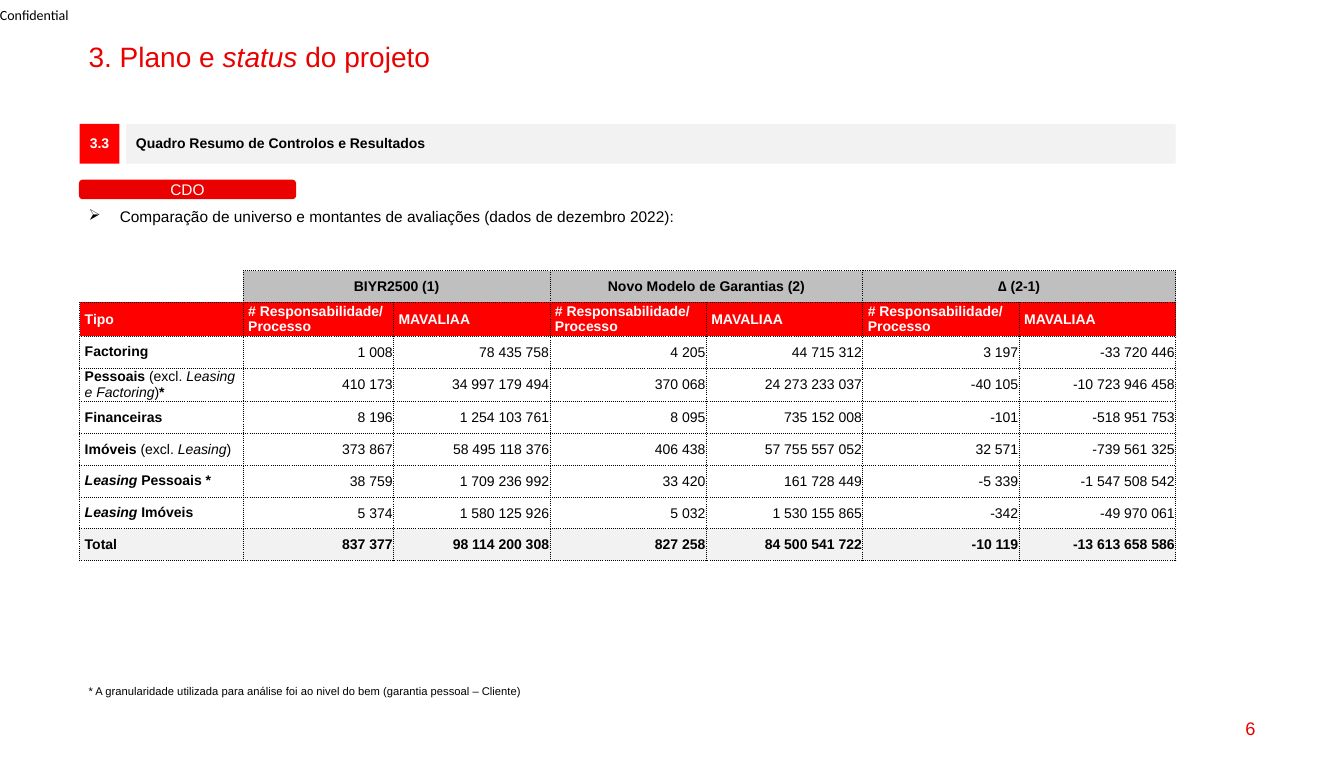
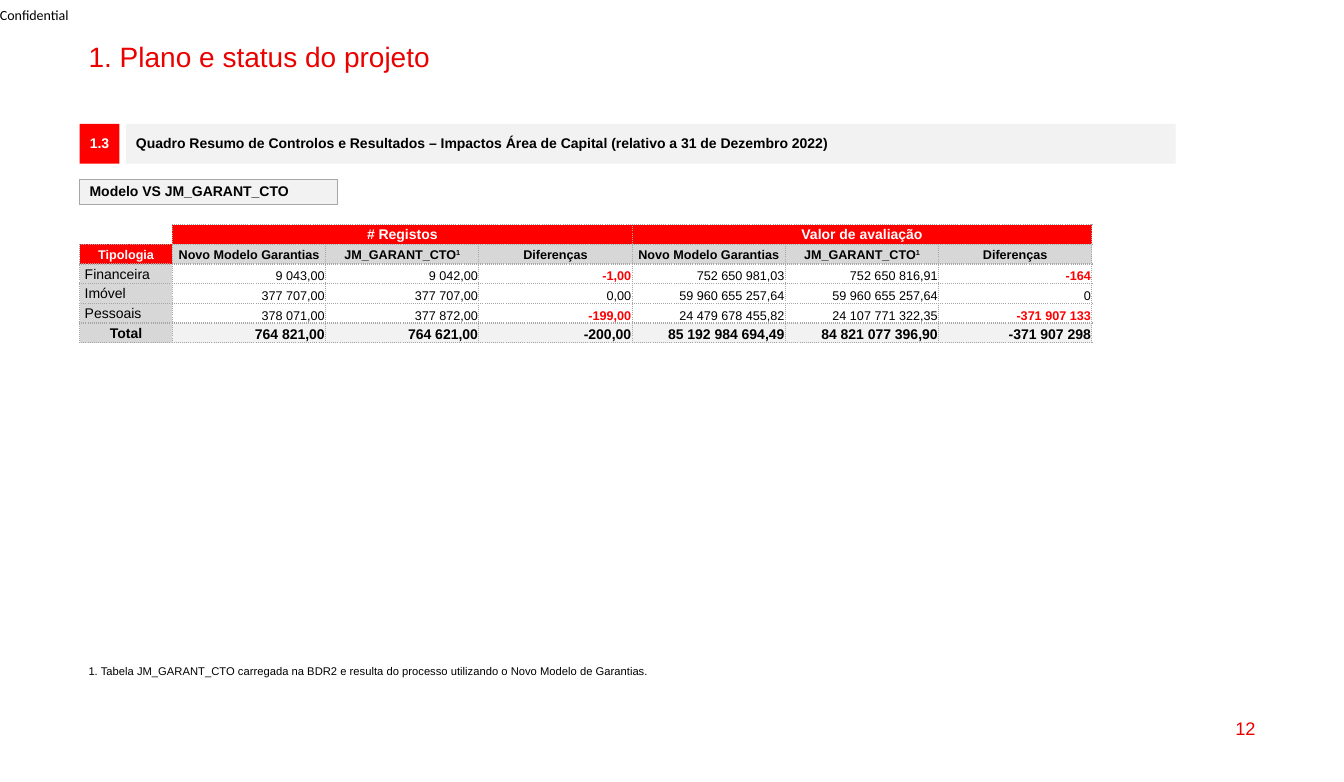
from dataclasses import dataclass, replace
from typing import NamedTuple, Optional, Union

import lxml.etree
import pptx
import pptx.dml.color
import pptx.enum.shapes
import pptx.enum.text
import pptx.oxml.ns
import pptx.shapes.base
import pptx.slide
import pptx.table
import pptx.text.text
import pptx.util

WIDTH, HEIGHT = 13.33, 7.76
COLORS = {
    "red": "FF0000",
    "brand": "EB0000",
    "black": "000000",
    "white": "FFFFFF",
    "pale": "F2F2F2",
    "silver": "D7D7D7",
    "grey": "BFBFBF",
    "edge": "A6A6A6",
}
ALIGN = pptx.enum.text.PP_ALIGN
ANCHOR = pptx.enum.text.MSO_ANCHOR
SHAPE = pptx.enum.shapes.MSO_SHAPE
qn = pptx.oxml.ns.qn


class Box(NamedTuple):
    """Shares of the slide, in percent."""
    left: float
    top: float
    width: float
    height: float

    def lengths(self) -> list[int]:
        sides = (WIDTH, HEIGHT, WIDTH, HEIGHT)
        return [pptx.util.Inches(side * share / 100) for side, share in zip(sides, self)]


class Run(NamedTuple):
    text: str
    bold: Optional[bool] = None
    italic: bool = False
    superscript: bool = False


Content = Union[str, tuple[Run, ...]]


@dataclass(frozen=True)
class Style:
    size: float = 10
    color: str = "black"
    bold: bool = False
    font: str = "Arial"
    align: ALIGN = ALIGN.LEFT
    anchor: ANCHOR = ANCHOR.MIDDLE
    margins: tuple[float, float, float, float] = (0.1, 0.05, 0.1, 0.05)
    spacing: Optional[float] = None


class Cell(NamedTuple):
    content: Content
    style: Style
    fill: Optional[str] = None
    span: int = 1


class Border(NamedTuple):
    color: str
    width: float


class Grid(NamedTuple):
    box: Box
    columns: list[float]
    border: Border
    rows: list[list[Cell]]


CONFIDENTIAL = Style(font="Calibri", margins=(0, 0, 0, 0))
TITLE = Style(20, "brand", anchor=ANCHOR.TOP, spacing=0.9)
PAGE_NUMBER = Style(13, "brand", align=ALIGN.RIGHT)
HEADING = Style(bold=True, spacing=0.9)
BADGE = replace(HEADING, color="white", align=ALIGN.CENTER)
PILL = Style(11, "white", align=ALIGN.CENTER)
BULLET = Style(11, anchor=ANCHOR.TOP)
NOTE = Style(8)

LABEL = Style(bold=True, margins=(0.05, 0, 0.05, 0))
LABEL_CENTER = replace(LABEL, align=ALIGN.CENTER)
LABEL_WHITE = replace(LABEL, color="white")
NUMBER = Style(align=ALIGN.RIGHT, margins=(0.01, 0.01, 0.01, 0))
NUMBER_TOTAL = replace(NUMBER, bold=True)
GROUP = replace(NUMBER_TOTAL, color="white", align=ALIGN.CENTER)
COLUMN = replace(GROUP, size=9, color="black")
CATEGORY = replace(LABEL, bold=False, margins=(0.05, 0.01, 0.01, 0))
AMOUNT = replace(NUMBER, size=9, anchor=ANCHOR.BOTTOM)
AMOUNT_ALERT = replace(AMOUNT, color="red", bold=True)
AMOUNT_TOTAL = replace(NUMBER_TOTAL, anchor=ANCHOR.BOTTOM)


def rgb(name: str) -> pptx.dml.color.RGBColor:
    return pptx.dml.color.RGBColor.from_string(COLORS[name])


def write(frame: pptx.text.text.TextFrame, content: Content, style: Style) -> None:
    runs = (Run(content),) if isinstance(content, str) else content
    frame.text = runs[0].text
    first = frame.paragraphs[0]
    for run in runs[1:]:
        first.add_run().text = run.text
    for paragraph in frame.paragraphs:
        paragraph.alignment = style.align
        if style.spacing:
            paragraph.line_spacing = style.spacing
        for run in paragraph.runs:
            run.font.name = style.font
            run.font.size = pptx.util.Pt(style.size)
            run.font.bold = style.bold
            run.font.color.rgb = rgb(style.color)
    for drawn, run in zip(first.runs, runs):
        drawn.font.italic = run.italic
        if run.bold is not None:
            drawn.font.bold = run.bold
        if run.superscript:
            drawn._r.get_or_add_rPr().set("baseline", "30000")
    if not runs[0].text:
        lxml.etree.SubElement(first._p, qn("a:endParaRPr"), sz=str(int(style.size * 100)))


def place_text(frame: pptx.text.text.TextFrame, content: Content, style: Style,
               wrap: bool = True) -> None:
    frame.word_wrap = wrap
    frame.vertical_anchor = style.anchor
    left, top, right, bottom = (pptx.util.Inches(margin) for margin in style.margins)
    frame.margin_left, frame.margin_top = left, top
    frame.margin_right, frame.margin_bottom = right, bottom
    write(frame, content, style)


def add_text(slide: pptx.slide.Slide, box: Box, content: Content, style: Style,
             wrap: bool = True) -> pptx.text.text.TextFrame:
    frame = slide.shapes.add_textbox(*box.lengths()).text_frame
    place_text(frame, content, style, wrap)
    return frame


def add_bullet(slide: pptx.slide.Slide, box: Box, content: str) -> None:
    frame = add_text(slide, box, content, BULLET)
    properties = frame.paragraphs[0]._p.get_or_add_pPr()
    indent = pptx.util.Inches(0.31)
    properties.set("marL", str(indent))
    properties.set("indent", str(-indent))
    lxml.etree.SubElement(properties, qn("a:buChar"), char="➢")


def add_panel(slide: pptx.slide.Slide, box: Box, content: str, style: Style, fill: str,
              border: Optional[Border] = None, kind: SHAPE = SHAPE.RECTANGLE) -> None:
    shape = slide.shapes.add_shape(kind, *box.lengths())
    shape.shadow.inherit = False
    shape.fill.solid()
    shape.fill.fore_color.rgb = rgb(fill)
    if border:
        shape.line.color.rgb = rgb(border.color)
        shape.line.width = pptx.util.Pt(border.width)
    else:
        shape.line.fill.background()
    place_text(shape.text_frame, content, style)


def set_borders(cell: pptx.table._Cell, border: Border, sides: str) -> None:
    properties = cell._tc.get_or_add_tcPr()
    for side in sides:
        line = lxml.etree.SubElement(properties, qn(f"a:ln{side}"),
                                     w=str(pptx.util.Pt(border.width)))
        solid = lxml.etree.SubElement(line, qn("a:solidFill"))
        lxml.etree.SubElement(solid, qn("a:srgbClr"), val=COLORS[border.color])
        lxml.etree.SubElement(line, qn("a:prstDash"), val="sysDot")


def fill_cell(cell: pptx.table._Cell, content: Cell, border: Border, sides: str) -> None:
    style = content.style
    set_borders(cell, border, sides)
    if content.fill:
        cell.fill.solid()
        cell.fill.fore_color.rgb = rgb(content.fill)
    else:
        cell.fill.background()
    cell.vertical_anchor = style.anchor
    left, top, right, bottom = (pptx.util.Inches(margin) for margin in style.margins)
    cell.margin_left, cell.margin_top = left, top
    cell.margin_right, cell.margin_bottom = right, bottom
    write(cell.text_frame, content.content, style)


def add_grid(slide: pptx.slide.Slide, grid: Grid) -> None:
    left, top, width, height = grid.box.lengths()
    row_count, column_count = len(grid.rows), len(grid.columns)
    table = slide.shapes.add_table(row_count, column_count, left, top, width, height).table
    table.first_row = table.horz_banding = False
    for column, weight in zip(table.columns, grid.columns):
        column.width = int(width * weight / sum(grid.columns))
    for row in table.rows:
        row.height = height // row_count
    for row_index, row in enumerate(grid.rows):
        column_index = 0
        for content in row:
            corner = row_index == column_index == 0
            for offset in range(content.span):
                shown = replace_content(content, offset)
                fill_cell(table.cell(row_index, column_index + offset), shown,
                          grid.border, "RB" if corner else "LRTB")
            if content.span > 1:
                last = table.cell(row_index, column_index + content.span - 1)
                table.cell(row_index, column_index).merge(last)
            column_index += content.span


def replace_content(content: Cell, offset: int) -> Cell:
    return content._replace(content="") if offset else content


def row_of(label: Cell, values: list[str], style: Style, fill: Optional[str]) -> list[Cell]:
    return [label] + [Cell(value, style, fill) for value in values]


def add_base(presentation: pptx.presentation.Presentation, title: Content, page: str,
             section: str, heading: str) -> pptx.slide.Slide:
    slide = presentation.slides.add_slide(presentation.slide_layouts[6])
    add_text(slide, Box(0, 0, 7.43, 3.74), "Confidential", CONFIDENTIAL)
    add_text(slide, Box(5.85, 4.9, 88.3, 4.38), title, TITLE)
    add_text(slide, Box(71.64, 90.46, 22.51, 5.28), page, PAGE_NUMBER)
    add_panel(slide, Box(5.93, 15.85, 2.96, 5.08), section, BADGE, "red")
    add_panel(slide, Box(9.38, 15.85, 78.09, 5.08), heading, HEADING, "pale")
    return slide


def comparison_grid() -> Grid:
    groups = ["BIYR2500 (1)", "Novo Modelo de Garantias (2)",
              (Run("∆ ", italic=True), Run("(2-1)"))]
    leasing = Run("Leasing ", italic=True)
    records = [
        ("Factoring", "1 008|78 435 758|4 205|44 715 312|3 197|-33 720 446"),
        ((Run("Pessoais "), Run("(excl. ", False), Run("Leasing e Factoring", False, True),
          Run(")", False), Run("*")),
         "410 173|34 997 179 494|370 068|24 273 233 037|-40 105|-10 723 946 458"),
        ("Financeiras", "8 196|1 254 103 761|8 095|735 152 008|-101|-518 951 753"),
        ((Run("Imóveis "), Run("(excl. ", False), Run("Leasing", False, True), Run(")", False)),
         "373 867|58 495 118 376|406 438|57 755 557 052|32 571|-739 561 325"),
        ((leasing, Run("Pessoais *")),
         "38 759|1 709 236 992|33 420|161 728 449|-5 339|-1 547 508 542"),
        ((leasing, Run("Imóveis")),
         "5 374|1 580 125 926|5 032|1 530 155 865|-342|-49 970 061"),
    ]
    total = "837 377|98 114 200 308|827 258|84 500 541 722|-10 119|-13 613 658 586"
    rows = [[Cell("", LABEL)] + [Cell(group, LABEL_CENTER, "grey", 2) for group in groups],
            row_of(Cell("Tipo", LABEL_WHITE, "red"),
                   ["# Responsabilidade/\nProcesso", "MAVALIAA"] * 3, LABEL_WHITE, "red")]
    rows += [row_of(Cell(label, LABEL), values.split("|"), NUMBER, None)
             for label, values in records]
    rows.append(row_of(Cell("Total", LABEL, "pale"), total.split("|"), NUMBER_TOTAL, "pale"))
    return Grid(Box(5.93, 34.6, 81.55, 36.6), [1.62, 1.49] + [1.55] * 5,
                Border("black", 0.5), rows)


def capital_grid() -> Grid:
    columns = ["Novo Modelo Garantias", (Run("JM_GARANT_CTO"), Run("1", superscript=True)),
               "Diferenças"]
    records = {
        "Financeira": "9 043,00|9 042,00|-1,00|752 650 981,03|752 650 816,91|-164",
        "Imóvel": "377 707,00|377 707,00|0,00|59 960 655 257,64|59 960 655 257,64|0",
        "Pessoais": "378 071,00|377 872,00|-199,00|24 479 678 455,82|24 107 771 322,35"
                    "|-371 907 133",
    }
    total = "764 821,00|764 621,00|-200,00|85 192 984 694,49|84 821 077 396,90|-371 907 298"
    rows = [[Cell("", COLUMN)] + [Cell(group, GROUP, "red", 3)
                                  for group in ("# Registos", "Valor de avaliação")],
            row_of(Cell("Tipologia", replace(COLUMN, color="white"), "red"),
                   columns * 2, COLUMN, "silver")]
    for label, values in records.items():
        rows.append([Cell(label, CATEGORY, "silver")] + [
            Cell(value, AMOUNT_ALERT if value.startswith("-") else AMOUNT, "white")
            for value in values.split("|")])
    total_label = Cell("Total", replace(GROUP, color="black"), "silver")
    rows.append(row_of(total_label, total.split("|"), AMOUNT_TOTAL, "pale"))
    return Grid(Box(5.93, 28.74, 75.32, 15.08), [0.92] + [1.52] * 6, Border("edge", 1), rows)


def main() -> None:
    presentation = pptx.Presentation()
    presentation.slide_width = pptx.util.Inches(WIDTH)
    presentation.slide_height = pptx.util.Inches(HEIGHT)

    title = (Run("3. Plano e "), Run("status", italic=True), Run(" do projeto"))
    slide = add_base(presentation, title, "6", "3.3", "Quadro Resumo de Controlos e Resultados")
    add_panel(slide, Box(5.93, 23.07, 16.05, 2.32), "CDO", PILL, "brand",
              Border("brand", 1), SHAPE.ROUNDED_RECTANGLE)
    add_grid(slide, comparison_grid())
    add_text(slide, Box(5.85, 86.86, 34.21, 3.09), "* A granularidade utilizada para análise "
             "foi ao nivel do bem (garantia pessoal – Cliente)", NOTE, wrap=False)
    add_bullet(slide, Box(5.85, 25.9, 69.84, 3.74),
               "Comparação de universo e montantes de avaliações (dados de dezembro 2022):")

    slide = add_base(presentation, "1. Plano e status do projeto", "12", "1.3",
                     "Quadro Resumo de Controlos e Resultados – Impactos Área de Capital "
                     "(relativo a 31 de Dezembro 2022)")
    add_panel(slide, Box(5.93, 22.94, 19.2, 3.22), "Modelo VS JM_GARANT_CTO", HEADING, "pale",
              Border("edge", 0.75))
    add_grid(slide, capital_grid())
    add_text(slide, Box(5.85, 84.28, 43.74, 3.09), "1. Tabela JM_GARANT_CTO carregada na BDR2 e "
             "resulta do processo utilizando o Novo Modelo de Garantias.", NOTE, wrap=False)

    presentation.save("out.pptx")


if __name__ == "__main__":
    main()
